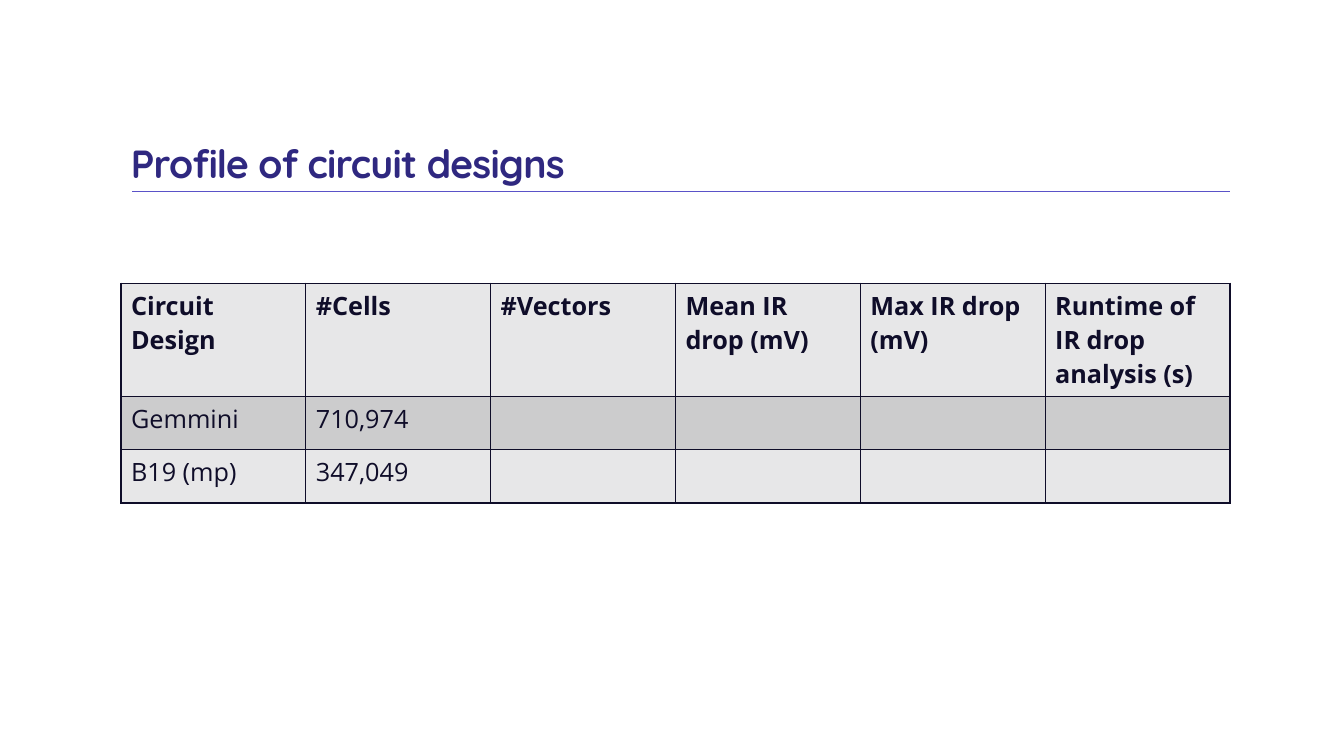
from pptx import Presentation
from pptx.dml.color import RGBColor
from pptx.enum.shapes import MSO_CONNECTOR
from pptx.enum.text import MSO_ANCHOR
from pptx.oxml.ns import qn
from pptx.util import Inches, Pt
from lxml.etree import SubElement

TITLE = "Profile of circuit designs"
HEADER = ["Circuit Design", "#Cells", "#Vectors", "Mean IR drop (mV)",
          "Max IR drop (mV)", "Runtime of IR drop analysis (s)"]
DESIGNS = [
    ["Gemmini", "710,974", "", "", "", ""],
    ["B19 (mp)", "347,049", "", "", "", ""],
]

INDIGO = RGBColor(0x2F, 0x28, 0x80)
VIOLET = RGBColor(0x5A, 0x52, 0xC8)
INK = RGBColor(0x0F, 0x0D, 0x29)
LIGHT = RGBColor(0xE7, 0xE7, 0xE8)
DARK = RGBColor(0xCC, 0xCC, 0xCD)

LEFT, WIDTH = 1.2, 11
RULE_Y = 1.9
TABLE_TOP = 2.81
HEADER_HEIGHT, ROW_HEIGHT = 1.12, 0.53


def write(frame, text, *, font, size, color, bold=False):
    para = frame.paragraphs[0]
    for style in (para.font, para.add_run().font):
        style.name, style.size, style.bold = font, Pt(size), bold
        style.color.rgb = color
    para.runs[0].text = text
    return para


def add_borders(cell, color, points):
    """Draw all four sides of a cell; call before setting its fill."""
    props = cell._tc.get_or_add_tcPr()
    for side in ("a:lnL", "a:lnR", "a:lnT", "a:lnB"):
        line = SubElement(props, qn(side), w=str(Pt(points)))
        fill = SubElement(line, qn("a:solidFill"))
        SubElement(fill, qn("a:srgbClr"), val=str(color))


def add_title(page):
    box = page.shapes.add_textbox(Inches(LEFT), Inches(0.31),
                                  Inches(WIDTH), Inches(RULE_Y - 0.31))
    frame = box.text_frame
    frame.word_wrap = True
    frame.vertical_anchor = MSO_ANCHOR.BOTTOM
    para = write(frame, TITLE, font="Quicksand", size=28, color=INDIGO, bold=True)
    para.line_spacing = 0.85
    para.runs[0]._r.get_or_add_rPr().set("spc", "-50")


def add_rule(page):
    rule = page.shapes.add_connector(MSO_CONNECTOR.STRAIGHT,
                                     Inches(LEFT + 0.11), Inches(RULE_Y),
                                     Inches(LEFT + WIDTH), Inches(RULE_Y))
    rule.line.color.rgb = VIOLET
    rule.line.width = Pt(0.5)
    SubElement(rule._element.spPr, qn("a:effectLst"))


def add_profile_table(page):
    rows = [HEADER] + DESIGNS
    heights = [HEADER_HEIGHT] + [ROW_HEIGHT] * len(DESIGNS)
    table = page.shapes.add_table(len(rows), len(HEADER), Inches(LEFT),
                                  Inches(TABLE_TOP), Inches(WIDTH),
                                  Inches(sum(heights))).table
    for r, texts in enumerate(rows):
        table.rows[r].height = Inches(heights[r])
        for c, text in enumerate(texts):
            cell = table.cell(r, c)
            add_borders(cell, INK, 1)
            cell.fill.solid()
            cell.fill.fore_color.rgb = DARK if r % 2 else LIGHT
            write(cell.text_frame, text, font="Open Sans", size=18,
                  color=INK, bold=r == 0)


def main():
    deck = Presentation()
    deck.slide_width, deck.slide_height = Inches(13.33), Inches(7.5)
    page = deck.slides.add_slide(deck.slide_layouts[6])
    add_rule(page)
    add_title(page)
    add_profile_table(page)
    deck.save("out.pptx")


if __name__ == "__main__":
    main()
